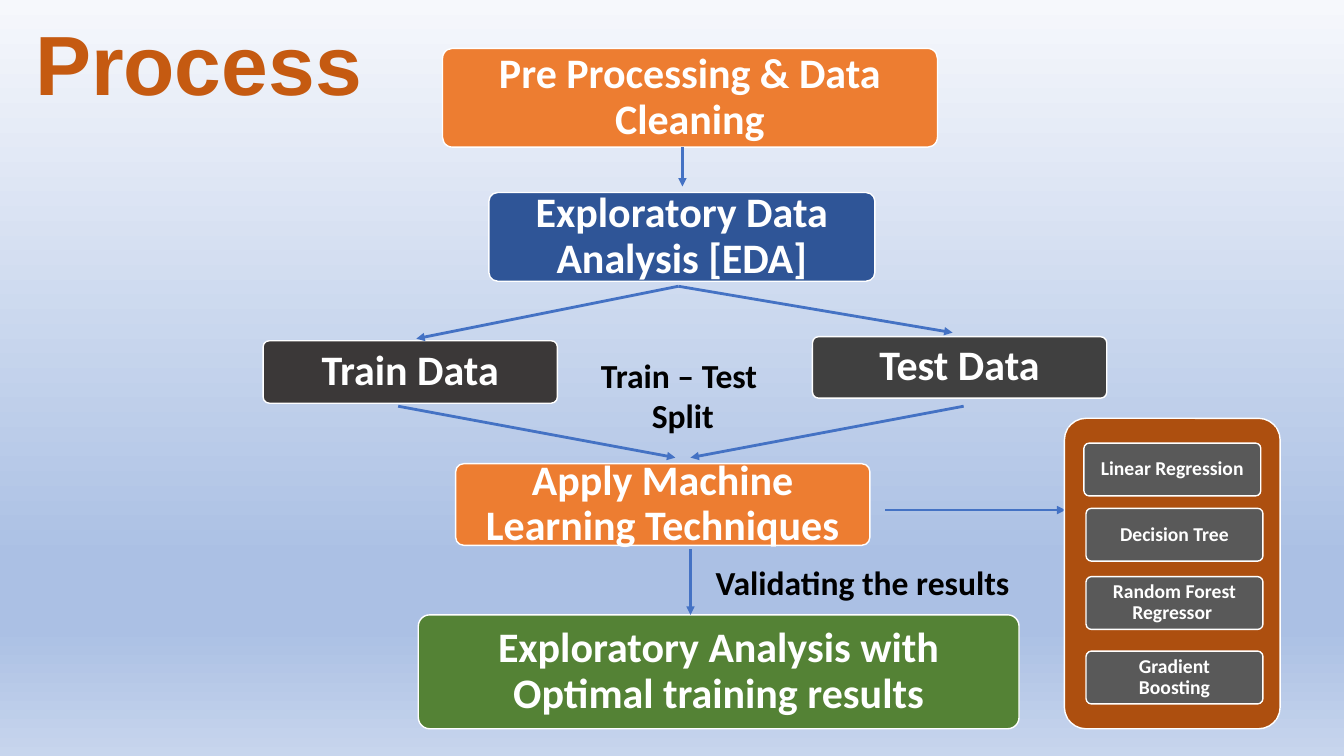
from copy import deepcopy

from pptx import Presentation
from pptx.dml.color import RGBColor
from pptx.enum.shapes import MSO_CONNECTOR, MSO_SHAPE
from pptx.enum.text import MSO_ANCHOR, PP_ALIGN
from pptx.oxml.ns import qn
from pptx.util import Inches, Pt

ROUND, RECT = MSO_SHAPE.ROUNDED_RECTANGLE, MSO_SHAPE.RECTANGLE
LINE = MSO_CONNECTOR.STRAIGHT
MIDDLE, TOP = MSO_ANCHOR.MIDDLE, MSO_ANCHOR.TOP
LEFT, CENTER = PP_ALIGN.LEFT, PP_ALIGN.CENTER
CELL = 0.1
COLS, ROWS = 133.33, 75

SKY = [(0, "F6F8FC"), (0.74, "ABC0E4"), (0.83, "ABC0E4"), (1, "C7D5ED")]
NODES = [
    ("Pre Processing & Data Cleaning", (17.9, 0, 49.1, 9.8), "ED7D31"),
    ("Exploratory Data Analysis [EDA]", (22.5, 14.3, 38.3, 8.8), "2F5597"),
    ("Train Data", (0.1, 29, 29.2, 6.2), "3B3838"),
    ("Test Data", (54.6, 28.6, 29.2, 6.1), "404040"),
    ("Apply Machine Learning Techniques", (19.2, 41.2, 41.1, 8.1), "ED7D31"),
    ("Exploratory Analysis with Optimal training results",
     (15.5, 56.2, 59.6, 11.3), "548235"),
]
ARROWS = [
    (41.7, 9.8, 41.7, 13.7),
    (41.3, 23.6, 68.5, 28.2),
    (41.3, 23.6, 15.3, 28.8),
    (13.5, 35.5, 41, 40.6),
    (69.6, 35.5, 42.5, 40.6),
    (42.5, 49.7, 42.5, 56.2),
    (61.8, 45.8, 79.7, 45.8),
]
NOTES = [
    ("Train – Test \nSplit", (31.1, 29.9, 21.3, 9.1), CENTER),
    ("Validating the results", (44, 50.5, 32.9, 5), LEFT),
]
MODELS = [
    ("Linear Regression", 0.09, 0.08),
    ("Decision Tree", 0.1, 0.29),
    ("Random Forest Regressor ", 0.1, 0.51),
    ("Gradient Boosting", 0.1, 0.75),
]


def paint(color, code):
    """Set a colour format from a hex string."""
    color.rgb = RGBColor.from_string(code)


def cells(*counts):
    """Turn grid cells into lengths."""
    return [Inches(count * CELL) for count in counts]


def shift(box, part):
    """Move a part by the corner of its box."""
    return (box[0] + part[0], box[1] + part[1], *part[2:])


def share(box, x, y, w, h):
    """Return the part of a box given as shares of its size."""
    return shift(box, (box[2] * x, box[3] * y, box[2] * w, box[3] * h))


def write(frame, text, size, code, align=CENTER, font="Calibri",
          anchor=MIDDLE, space=0.9):
    """Fill a text frame with bold text."""
    frame.text = text
    frame.word_wrap = True
    frame.vertical_anchor = anchor
    for para in frame.paragraphs:
        para.alignment = align
        para.line_spacing = space
        for run in para.runs:
            run.font.name, run.font.size = font, Pt(size)
            run.font.bold = True
            paint(run.font.color, code)


def block(shapes, kind, box, code):
    """Add a plain filled shape."""
    shape = shapes.add_shape(kind, *cells(*box))
    shape.shadow.inherit = False
    shape.fill.solid()
    paint(shape.fill.fore_color, code)
    return shape


def card(slide, box, code, text="", size=30):
    """Add a rounded face with an inner label, as one group."""
    shapes = slide.shapes.add_group_shape().shapes
    face = block(shapes, ROUND, box, code)
    face.adjustments[0] = 0.1
    paint(face.line.color, "FFFFFF")
    face.line.width = Pt(1)
    label = block(shapes, RECT, share(box, 0.02, 0.03, 0.96, 0.94), code)
    label.line.fill.background()
    if text:
        frame = label.text_frame
        frame.margin_left = frame.margin_right = Inches(0.12)
        frame.margin_top = frame.margin_bottom = Inches(0.12)
        write(frame, text, size, "FFFFFF")


def arrow(slide, ends):
    """Add a line with a triangle at its end."""
    link = slide.shapes.add_connector(LINE, *cells(*ends))
    paint(link.line.color, "4472C4")
    link.line.width = Pt(2)
    edge = link.get_or_add_ln()
    head = edge.makeelement(qn("a:tailEnd"), {"type": "triangle"})
    edge.append(head)
    props = link.element.spPr
    props.append(props.makeelement(qn("a:effectLst"), {}))


def sky(slide):
    """Paint the gradient background."""
    fill = slide.background.fill
    fill.gradient()
    fill.gradient_angle = 270
    stops = slide.element.find(".//" + qn("a:gsLst"))
    for _ in SKY[2:]:
        stops.append(deepcopy(stops[0]))
    for stop, (place, code) in zip(fill.gradient_stops, SKY):
        stop.position = place
        paint(stop.color, code)


def title(slide, box):
    """Add the heading."""
    frame = slide.shapes.add_textbox(*cells(*box)).text_frame
    write(frame, "Process", 60, "C55A11", LEFT, "Arial")


def flow(slide, box):
    """Add the steps, their arrows and notes."""
    for text, part, code in NODES:
        card(slide, shift(box, part), code, text)
    for x, y, right, low in ARROWS:
        arrow(slide, shift(box, (x, y)) + shift(box, (right, low)))
    for text, part, align in NOTES:
        note = slide.shapes.add_textbox(*cells(*shift(box, part)))
        write(note.text_frame, text, 24, "000000", align,
              anchor=TOP, space=1.0)


def panel(slide, box):
    """Add the panel of models."""
    card(slide, box, "AD4F0F")
    for text, x, y in MODELS:
        card(slide, share(box, x, y, 0.82, 0.17), "595959", text, 14)


def main():
    """Build and save the slide."""
    deck = Presentation()
    deck.slide_width, deck.slide_height = cells(COLS, ROWS)
    slide = deck.slides.add_slide(deck.slide_layouts[6])
    sky(slide)
    title(slide, (2.5, 3.7, 115, 6.2))
    flow(slide, (26, 4.8, 84, 67.5))
    panel(slide, (105.6, 41.5, 21.4, 30.8))
    deck.save("out.pptx")


if __name__ == "__main__":
    main()
